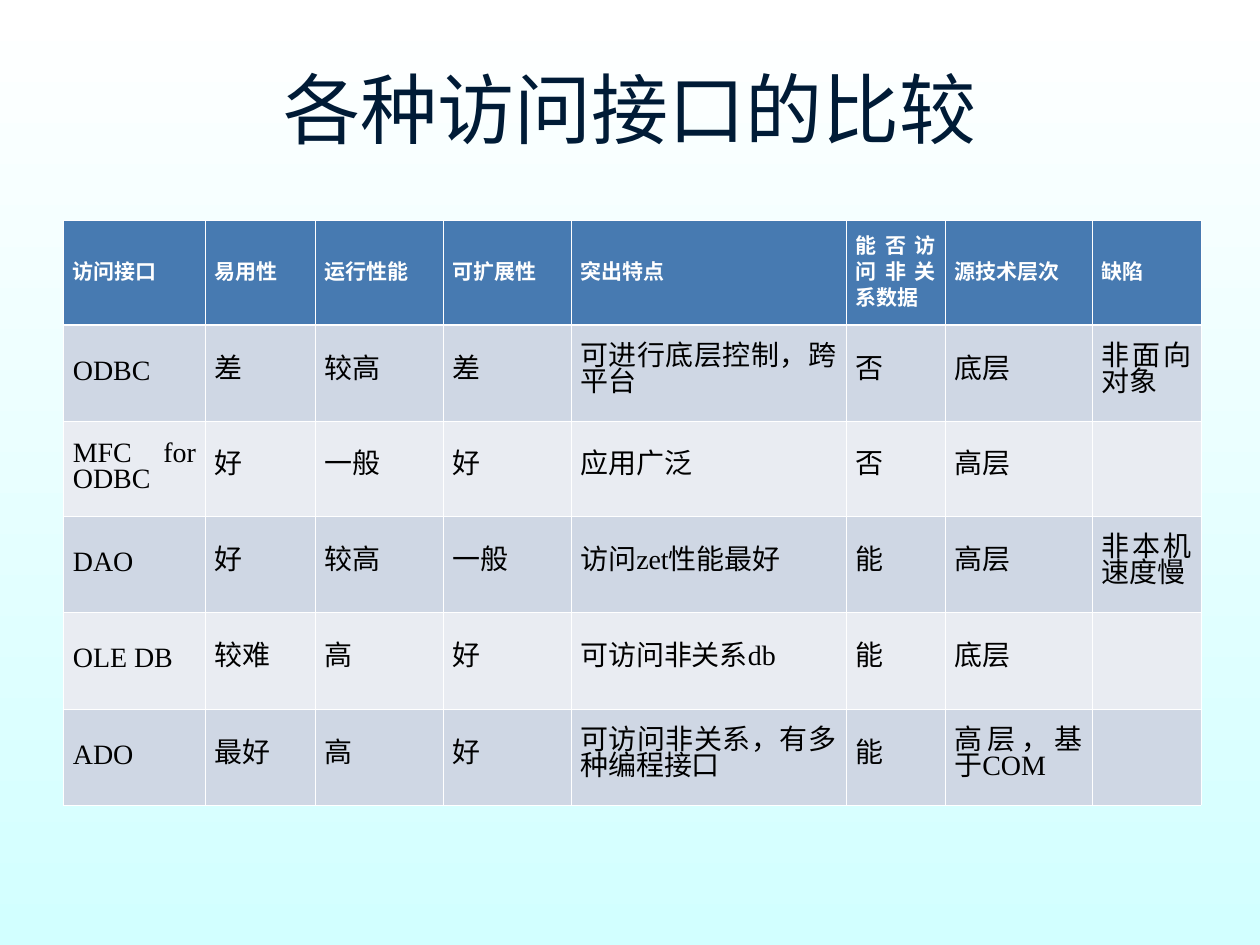
"""Build a slide with a table comparing database access interfaces."""
from lxml import etree
from pptx import Presentation
from pptx import util as u
from pptx.dml.color import RGBColor
from pptx.enum import text
from pptx.oxml.ns import qn


def tint(code):
    return RGBColor.from_string(code)


def style(item, form):
    for key, val in form.items():
        setattr(item, key, val)


deck = Presentation()
style(deck, {"slide_width": u.Cm(25.4), "slide_height": u.Cm(19.05)})
slide = deck.slides.add_slide(deck.slide_layouts[6])

back = slide.background.fill
back.gradient()
back.gradient_angle = 270
for stop, code in zip(back.gradient_stops, ("FFFFFF", "D2FFFF")):
    stop.color.rgb = tint(code)

middle = text.MSO_ANCHOR.MIDDLE
title = slide.shapes.add_textbox(u.Cm(1.27), u.Cm(0.76), u.Cm(22.86), u.Cm(2.82))
style(title.text_frame, {"word_wrap": True, "vertical_anchor": middle})
para = title.text_frame.paragraphs[0]
para.alignment = text.PP_ALIGN.CENTER
run = para.add_run()
run.text = "各种访问接口的比较"
style(run.font, {"size": u.Pt(44), "name": "Calibri"})
run.font.color.rgb = tint("001B36")

rows = [
    ("访问接口", "易用性", "运行性能", "可扩展性", "突出特点", "能否访问非关系数据", "源技术层次", "缺陷"),
    ("ODBC", "差", "较高", "差", "可进行底层控制，跨平台", "否", "底层", "非面向对象"),
    ("MFC for ODBC", "好", "一般", "好", "应用广泛", "否", "高层", ""),
    ("DAO", "好", "较高", "一般", "访问zet性能最好", "能", "高层", "非本机速度慢"),
    ("OLE DB", "较难", "高", "好", "可访问非关系db", "能", "底层", ""),
    ("ADO", "最好", "高", "好", "可访问非关系，有多种编程接口", "能", "高层，基于COM", ""),
]
wides = (2.86, 2.21, 2.58, 2.58, 5.55, 1.99, 2.97, 2.19)
highs = (2.11, 1.95, 1.9, 1.94, 1.95, 1.94)

frame = slide.shapes.add_table(len(rows), len(wides), u.Cm(1.28), u.Cm(4.44),
                               u.Cm(sum(wides)), u.Cm(sum(highs)))
table = frame.table
for col, wide in zip(table.columns, wides):
    col.width = u.Cm(wide)
for line, high in zip(table.rows, highs):
    line.height = u.Cm(high)

inset = {"margin_left": u.Cm(0.19), "margin_right": u.Cm(0.19),
         "margin_top": u.Cm(0.13), "margin_bottom": u.Cm(0.13),
         "vertical_anchor": middle}
block = {"alignment": text.PP_ALIGN.JUSTIFY, "line_spacing": u.Pt(15)}
head = {"size": u.Pt(12), "bold": True, "name": "Times New Roman"}
body = {"size": u.Pt(16), "bold": False, "name": "Times New Roman"}

for r, words in enumerate(rows):
    if r == 0:
        font, ink, fill = head, "FFFFFF", "477AB1"
    else:
        font, ink, fill = body, "000000", "CFD7E4" if r % 2 else "E9ECF2"
    for c, word in enumerate(words):
        cell = table.cell(r, c)
        style(cell, inset)
        props = cell._tc.get_or_add_tcPr()
        for side in "LRTB":
            thick = (r, side) in ((0, "B"), (1, "T"))
            edge = etree.SubElement(props, qn("a:ln" + side),
                                    w=str(u.Pt(1.47 if thick else 0.45)))
            solid = etree.SubElement(edge, qn("a:solidFill"))
            etree.SubElement(solid, qn("a:srgbClr"), val="FFFFFF")
        cell.fill.solid()
        cell.fill.fore_color.rgb = tint(fill)
        if word:
            para = cell.text_frame.paragraphs[0]
            style(para, block)
            run = para.add_run()
            run.text = word
            style(run.font, font)
            run.font.color.rgb = tint(ink)

deck.save("out.pptx")
